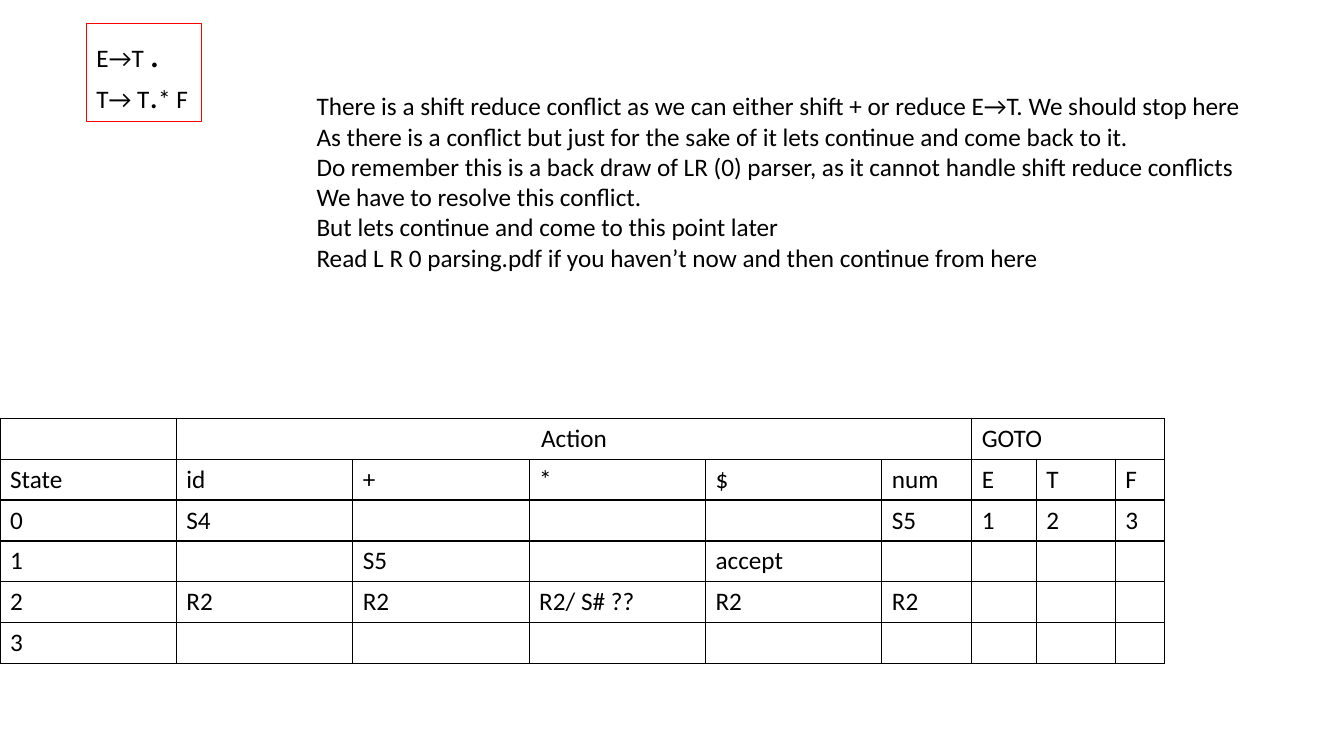
from dataclasses import dataclass

from lxml.etree import SubElement
from pptx import Presentation
from pptx.dml.color import RGBColor
from pptx.enum.shapes import MSO_SHAPE
from pptx.enum.text import MSO_ANCHOR, MSO_AUTO_SIZE, PP_ALIGN
from pptx.oxml.ns import qn
from pptx.util import Inches, Pt

GRID_COLUMNS, GRID_ROWS = 160, 90


@dataclass(frozen=True)
class Theme:
    font: str = "Calibri"
    ink: str = "000000"
    paper: str = "FFFFFF"
    accent: str = "FF0000"
    body: int = 18
    dot: int = 24
    large_dot: int = 28
    outline: float = 0.75
    border: float = 1


def add_run(paragraph, text, *, font, size, color):
    run = paragraph.add_run()
    run.text = text
    run.font.name = font
    run.font.size = Pt(size)
    run.font.color.rgb = RGBColor.from_string(color)


class SlideBuilder:
    """Places elements on the slide, measured in grid columns and rows."""

    def __init__(self, presentation, theme):
        self.theme = theme
        self.slide = presentation.slides.add_slide(presentation.slide_layouts[6])
        self.column = presentation.slide_width / GRID_COLUMNS
        self.row = presentation.slide_height / GRID_ROWS

    def place(self, left, top, width, height):
        return (round(left * self.column), round(top * self.row),
                round(width * self.column), round(height * self.row))

    def fill_text(self, text_frame, paragraphs):
        """Each paragraph is a list of (text, size) pairs."""
        text_frame.word_wrap = False
        text_frame.auto_size = MSO_AUTO_SIZE.SHAPE_TO_FIT_TEXT
        for index, runs in enumerate(paragraphs):
            paragraph = text_frame.add_paragraph() if index else text_frame.paragraphs[0]
            paragraph.alignment = PP_ALIGN.LEFT
            for text, size in runs:
                add_run(paragraph, text, font=self.theme.font, size=size, color=self.theme.ink)

    def text(self, area, lines):
        box = self.slide.shapes.add_textbox(*self.place(*area))
        self.fill_text(box.text_frame, [[(line, self.theme.body)] for line in lines])

    def framed_text(self, area, paragraphs):
        shape = self.slide.shapes.add_shape(MSO_SHAPE.RECTANGLE, *self.place(*area))
        shape.shadow.inherit = False
        shape.fill.solid()
        shape.fill.fore_color.rgb = RGBColor.from_string(self.theme.paper)
        shape.line.color.rgb = RGBColor.from_string(self.theme.accent)
        shape.line.width = Pt(self.theme.outline)
        shape.text_frame.vertical_anchor = MSO_ANCHOR.TOP
        self.fill_text(shape.text_frame, paragraphs)

    def border(self, cell):
        properties = cell._tc.get_or_add_tcPr()
        for side in ("a:lnL", "a:lnR", "a:lnT", "a:lnB"):
            line = SubElement(properties, qn(side), w=str(Pt(self.theme.border)))
            fill = SubElement(line, qn("a:solidFill"))
            SubElement(fill, qn("a:srgbClr"), val=self.theme.ink)

    def table(self, left, top, widths, row_height, rows, spans):
        """Spans maps a merged header's first column to its last one."""
        area = self.place(left, top, sum(widths), row_height * len(rows))
        table = self.slide.shapes.add_table(len(rows), len(widths), *area).table
        table.first_row = table.horz_banding = False
        for column, width in zip(table.columns, widths):
            column.width = round(width * self.column)
        for row, values in zip(table.rows, rows):
            row.height = round(row_height * self.row)
            for cell, value in zip(row.cells, values):
                self.border(cell)
                cell.fill.background()
                if value:
                    add_run(cell.text_frame.paragraphs[0], value, font=self.theme.font,
                            size=self.theme.body, color=self.theme.ink)
        for first, last in spans.items():
            table.cell(0, first).merge(table.cell(0, last))
        return table


CONFLICT_NOTES = [
    "There is a shift reduce conflict as we can either shift + or reduce E→T. We should stop here",
    "As there is a conflict but just for the sake of it lets continue and come back to it.",
    "Do remember this is a back draw of LR (0) parser, as it cannot handle shift reduce conflicts",
    "We have to resolve this conflict.",
    "But lets continue and come to this point later",
    "Read L R 0 parsing.pdf if you haven’t now and then continue from here",
]
PARSING_TABLE = [
    ["", "Action", "", "", "", "", "GOTO", "", ""],
    ["State", "id", "+", "*", "$", "num", "E", "T", "F"],
    ["0", "S4", "", "", "", "S5", "1", "2", "3"],
    ["1", "", "S5", "", "accept", "", "", "", ""],
    ["2", "R2", "R2", "R2/ S# ??", "R2", "R2", "", "", ""],
    ["3", "", "", "", "", "", "", "", ""],
]
COLUMN_WIDTHS = [21] * 5 + [10.7, 7.7, 9.4, 5.9]


def main():
    presentation = Presentation()
    presentation.slide_width, presentation.slide_height = Inches(13.33), Inches(7.5)
    theme = Theme()
    builder = SlideBuilder(presentation, theme)

    parsing = builder.table(0, 49.8, COLUMN_WIDTHS, 4.87, PARSING_TABLE, {1: 5, 6: 8})
    parsing.cell(0, 1).text_frame.paragraphs[0].alignment = PP_ALIGN.CENTER
    builder.framed_text((10.3, 2.75, 13.7, 11.75), [
        [("E→T ", theme.body), (".", theme.large_dot)],
        [("T→ T", theme.body), (".", theme.dot), ("* F", theme.body)],
    ])
    builder.text((36.5, 10.2, 114.1, 23), CONFLICT_NOTES)
    presentation.save("out.pptx")


if __name__ == "__main__":
    main()
